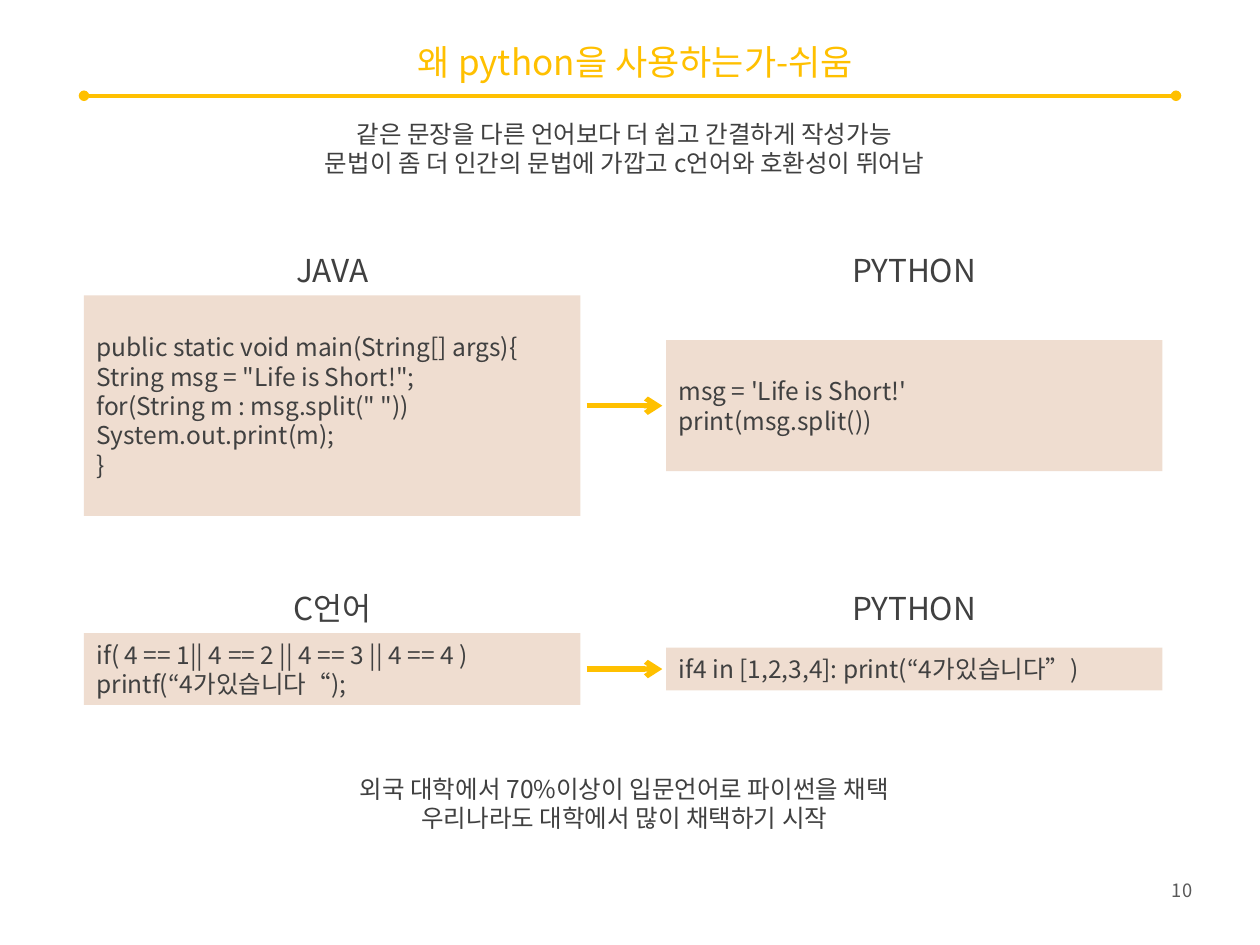
from lxml import etree
from pptx import Presentation
from pptx.dml.color import RGBColor
from pptx.enum import shapes, text
from pptx.oxml.ns import qn
from pptx.util import Inches, Pt

GOLD = RGBColor(0xFF, 0xC0, 0x00)
DARK = RGBColor(0x40, 0x40, 0x40)
GRAY = RGBColor(0x59, 0x59, 0x59)
SAND = RGBColor(0xEF, 0xDD, 0xD0)
FONT = "Noto Sans CJK KR"
LEFT, CENTER, RIGHT = (text.PP_ALIGN.LEFT, text.PP_ALIGN.CENTER,
                       text.PP_ALIGN.RIGHT)

TITLE = "왜 python을 사용하는가-쉬움"
INTRO = ["같은 문장을 다른 언어보다 더 쉽고 간결하게 작성가능",
         "문법이 좀 더 인간의 문법에 가깝고 c언어와 호환성이 뛰어남"]
CLOSE = ["외국 대학에서 70%이상이 입문언어로 파이썬을 채택",
         "우리나라도 대학에서 많이 채택하기 시작"]
# Each row: middle height, then (heading, box height, code) per column
ROWS = [
    (3.22, [("JAVA", 1.75, ["public static void main(String[] args){",
                            'String msg = "Life is Short!";',
                            'for(String m : msg.split(" "))',
                            "System.out.print(m);",
                            "}"]),
            ("PYTHON", 1.04, ["msg = 'Life is Short!'",
                              "print(msg.split())"])]),
    (5.31, [("C언어", 0.57, ["if( 4 == 1|| 4 == 2 || 4 == 3 || 4 == 4 )",
                           "printf(“4가있습니다“);"]),
            ("PYTHON", 0.34, ["if4 in [1,2,3,4]: print(“4가있습니다”)"])]),
]
WIDE, HIGH = 10, 7.5
EDGE = WIDE / 15
BOX_W, GAP = 3.94, 0.68
HEAD_W, HEAD_H = 1.73, 0.4

deck = Presentation()
deck.slide_width, deck.slide_height = Inches(WIDE), Inches(HIGH)
slide = deck.slides.add_slide(deck.slide_layouts[6])


def write(shape, lines, size, color=DARK, align=CENTER):
    frame = shape.text_frame
    frame.word_wrap = True
    frame.vertical_anchor = text.MSO_ANCHOR.MIDDLE
    for i, line in enumerate(lines):
        para = frame.paragraphs[0] if i == 0 else frame.add_paragraph()
        para.alignment = align
        run = para.add_run()
        run.text = line
        run.font.size = Pt(size)
        run.font.name = FONT
        run.font.color.rgb = color
        east = etree.SubElement(run.font._element, qn("a:ea"))
        east.set("typeface", FONT)


def label(x, y, w, h, lines, size, color=DARK, align=CENTER):
    box = slide.shapes.add_textbox(*map(Inches, (x, y, w, h)))
    write(box, lines, size, color, align)


def panel(x, y, w, h, lines):
    """Filled box of code."""
    box = slide.shapes.add_shape(shapes.MSO_SHAPE.RECTANGLE,
                                 *map(Inches, (x, y, w, h)))
    box.shadow.inherit = False
    box.fill.solid()
    box.fill.fore_color.rgb = SAND
    box.line.fill.background()
    write(box, lines, 14, align=LEFT)


def rule(x1, x2, y, width, **ends):
    """Level gold line with the given headEnd and tailEnd marks."""
    line = slide.shapes.add_connector(shapes.MSO_CONNECTOR.STRAIGHT,
                                      *map(Inches, (x1, y, x2, y)))
    line.line.color.rgb = GOLD
    line.line.width = Pt(width)
    for end, mark in ends.items():
        etree.SubElement(line.line._ln, qn("a:" + end)).set("type", mark)
    etree.SubElement(line._element.spPr, qn("a:effectLst"))


rule(EDGE, WIDE - EDGE, 0.76, 2, headEnd="oval", tailEnd="oval")
label(8.97, 6.92, 0.59, 0.29, ["10"], 10.5, GRAY, RIGHT)
label(0.83, 0.3, 8.43, 0.38, [TITLE], 20, GOLD)
for top, lines in ((0.89, INTRO), (6.09, CLOSE)):
    label(EDGE, top, 8.58, 0.57, lines, 14)

for mid, cells in ROWS:
    head_y = mid - cells[0][1] / 2 - HEAD_H
    for col, (head, high, code) in enumerate(cells):
        x = EDGE + col * (BOX_W + GAP)
        panel(x, mid - high / 2, BOX_W, high, code)
        label(x + (BOX_W - HEAD_W) / 2, head_y, HEAD_W, HEAD_H, [head], 18)
    start = EDGE + BOX_W
    rule(start + 0.05, start + GAP - 0.03, mid, 3, tailEnd="arrow")

deck.save("out.pptx")
